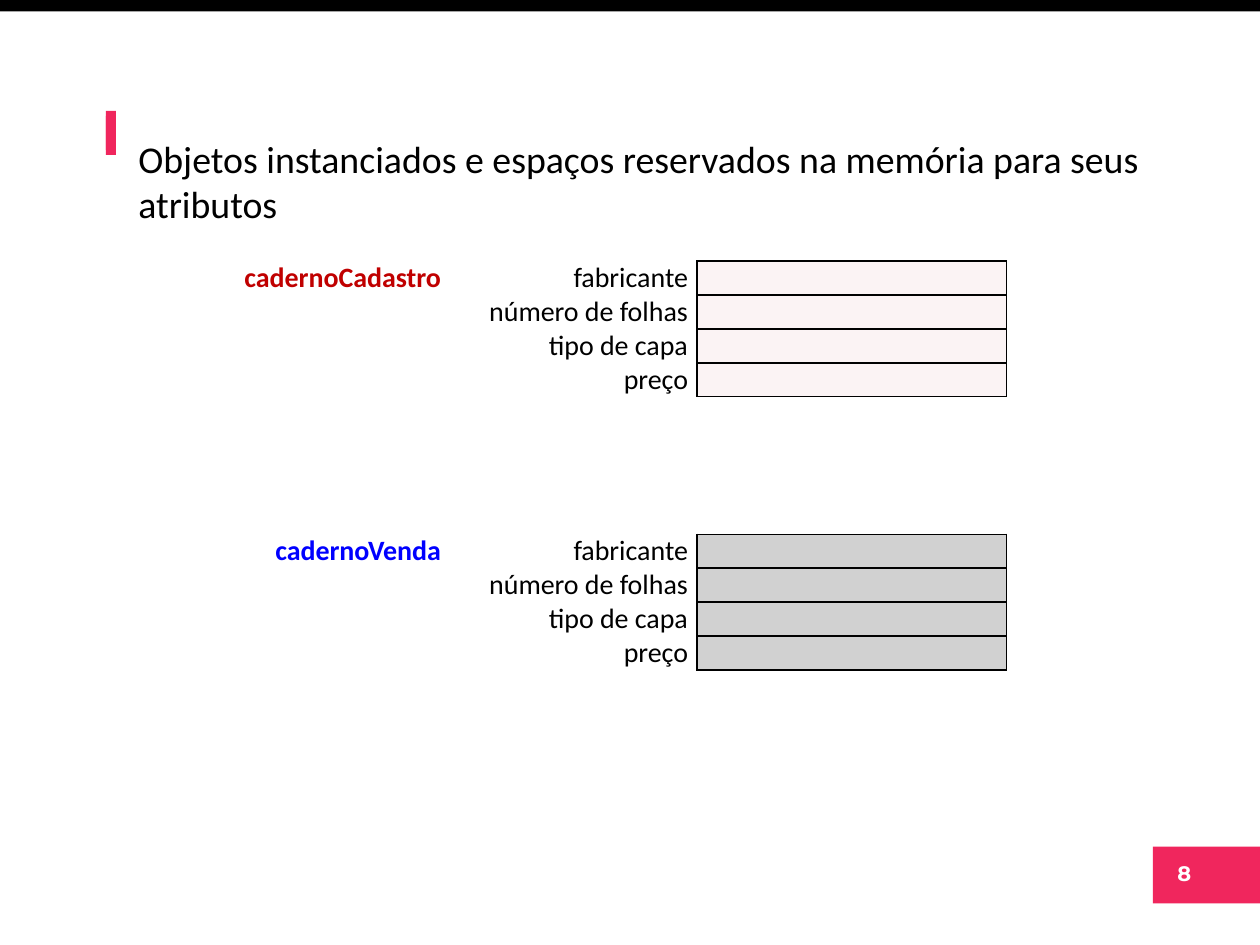
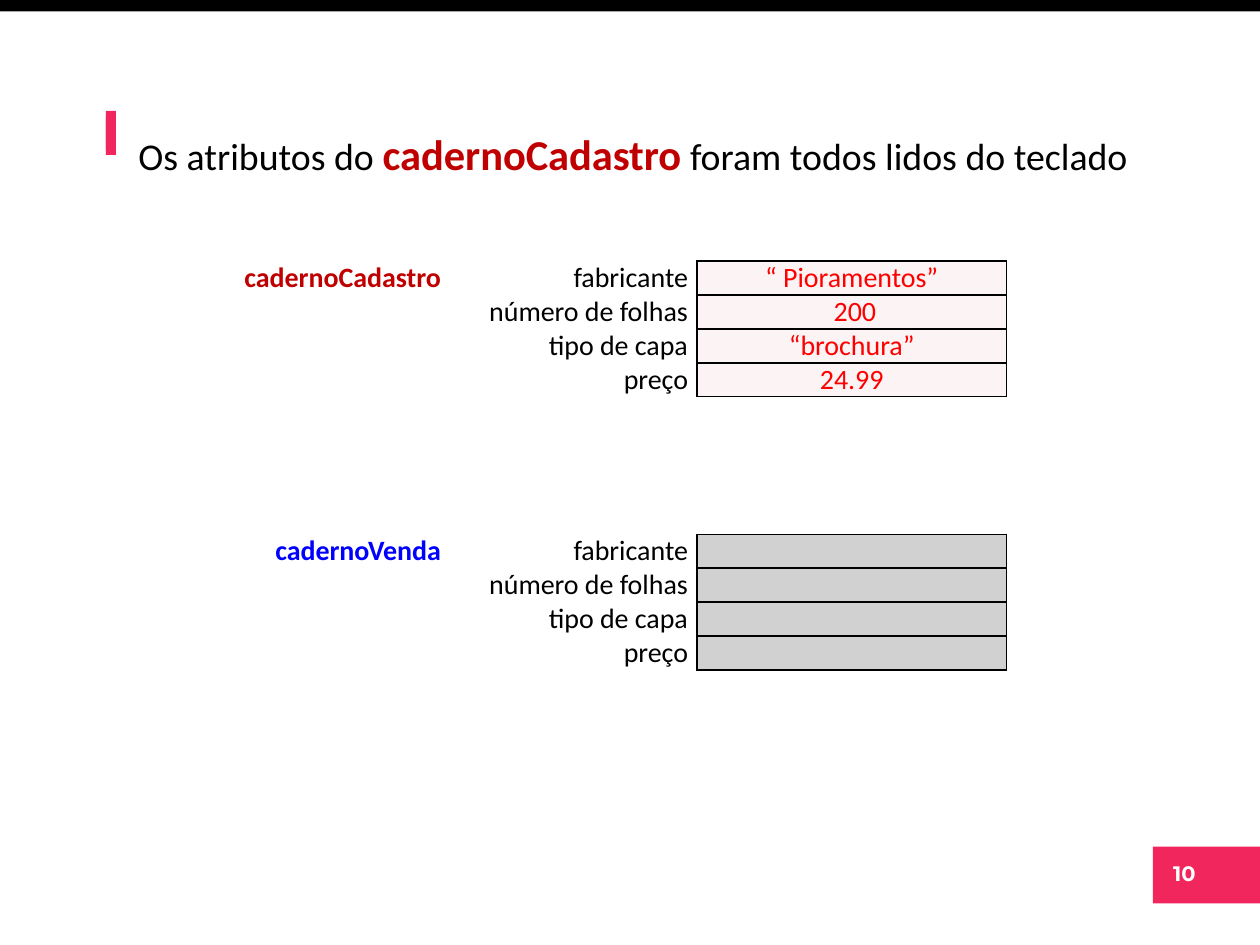
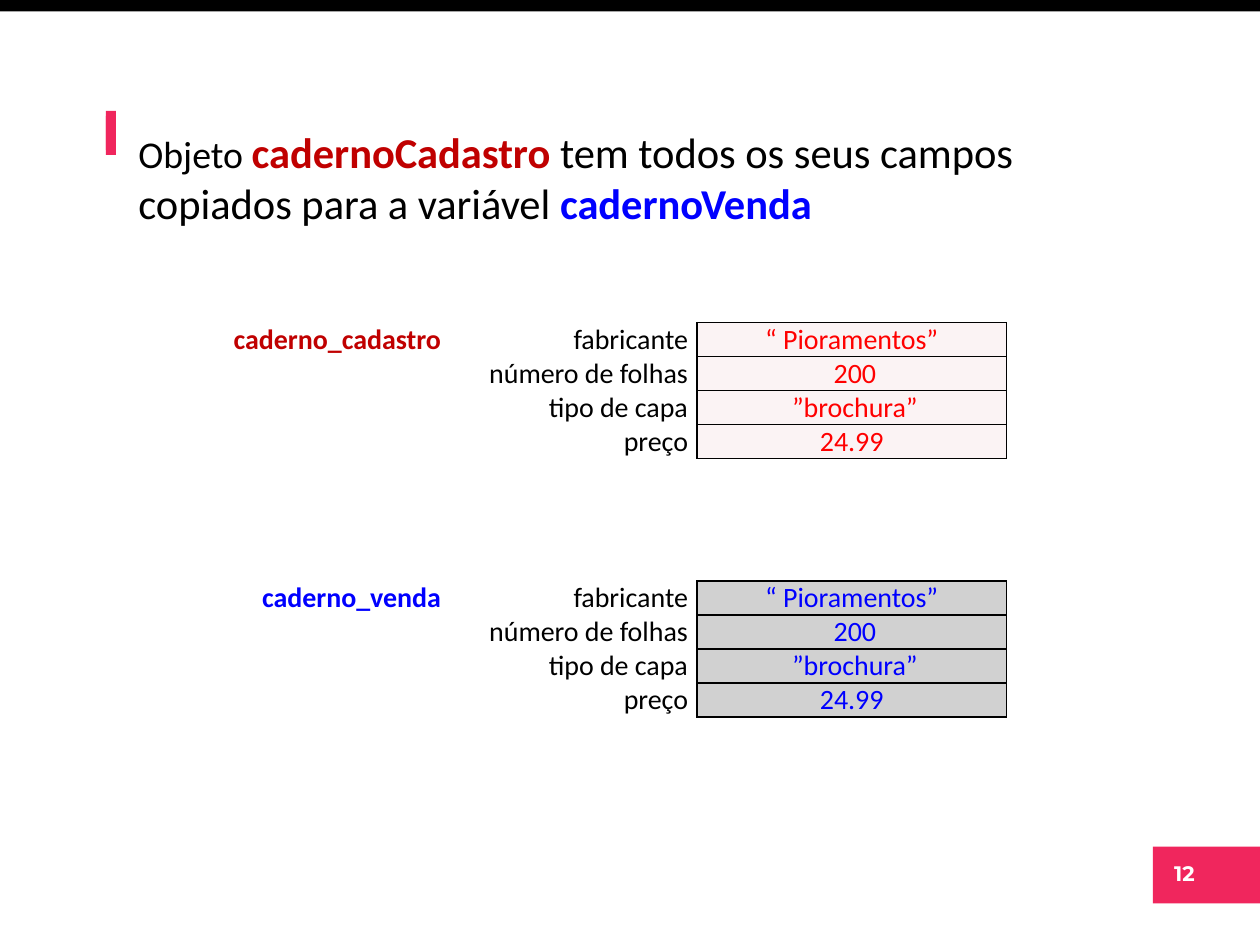
from lxml.etree import SubElement
from pptx import Presentation
from pptx.dml.color import RGBColor
from pptx.enum.shapes import MSO_SHAPE
from pptx.enum.text import MSO_ANCHOR, PP_ALIGN
from pptx.oxml.ns import qn
from pptx.util import Inches, Pt

BLACK, WHITE, PINK = "000000", "FFFFFF", "F0265D"
DARK_RED, RED, BLUE = "C00000", "FF0000", "0000FF"
ROSE, GRAY = "F9E8EA", "A6A6A6"
BODY_FONT, NUMBER_FONT = "Calibri", "Montserrat"
TITLE_SIZE, TITLE_LARGE, TABLE_SIZE = 21.6, 24.3, 16
FIELDS = ["fabricante", "número de folhas", "tipo de capa", "preço"]
EMPTY = [""] * len(FIELDS)
COLUMN_WIDTHS = [2.95, 1.96, 2.46]
ROW_HEIGHT = 0.27


def rgb(value):
    """Turn a hex string into a colour."""
    return RGBColor.from_string(value)


class Deck:
    """Holds the style and the current slide."""

    def __init__(self):
        """Start an empty 10 by 7.5 inch presentation."""
        self.presentation = Presentation()
        self.presentation.slide_width = Inches(10)
        self.presentation.slide_height = Inches(7.5)
        self.slide = None

    def new_slide(self, number, title_box, title_runs):
        """Add a slide with its band, number, accent and title."""
        self.slide = self.presentation.slides.add_slide(self.presentation.slide_layouts[6])
        self.block(0, 0, 10, 0.09, BLACK)
        self.block(9.15, 6.72, 0.86, 0.45, PINK)
        number_frame = self.text_box(9.16, 6.78, 0.48, 0.3)
        number_frame.word_wrap = False
        number_frame.paragraphs[0].alignment = PP_ALIGN.CENTER
        self.run(number_frame.paragraphs[0], str(number), 12, WHITE, True, NUMBER_FONT)
        for top in (0.92, 0.88):
            self.block(0.84, top, 0.08, 0.31, PINK)
        title_frame = self.text_box(*title_box)
        title_frame.word_wrap = True
        title_frame.vertical_anchor = MSO_ANCHOR.MIDDLE
        for text, size, color, bold in title_runs:
            self.run(title_frame.paragraphs[0], text, size, color, bold)

    def block(self, left, top, width, height, color):
        """Draw a plain filled rectangle."""
        rectangle = self.slide.shapes.add_shape(
            MSO_SHAPE.RECTANGLE, Inches(left), Inches(top), Inches(width), Inches(height))
        rectangle.shadow.inherit = False
        rectangle.fill.solid()
        rectangle.fill.fore_color.rgb = rgb(color)
        rectangle.line.fill.background()

    def text_box(self, left, top, width, height):
        """Add a text box and return its frame."""
        return self.slide.shapes.add_textbox(
            Inches(left), Inches(top), Inches(width), Inches(height)).text_frame

    def run(self, paragraph, text, size, color, bold=False, font=BODY_FONT):
        """Append one styled run to a paragraph."""
        run = paragraph.add_run()
        run.text = text
        run.font.name = font
        run.font.size = Pt(size)
        run.font.bold = bold
        run.font.color.rgb = rgb(color)

    def cell(self, cell, text, align, color=BLACK, bold=False, sides="", fill=None):
        """Style one table cell, with black borders on the given sides."""
        cell.margin_left = cell.margin_right = Inches(0.07)
        cell.margin_top = cell.margin_bottom = 0
        paragraph = cell.text_frame.paragraphs[0]
        paragraph.alignment = align
        if text:
            self.run(paragraph, text, TABLE_SIZE, color, bold)
        else:
            SubElement(paragraph._p, qn("a:endParaRPr"), sz=str(TABLE_SIZE * 100))
        properties = cell._tc.get_or_add_tcPr()
        for side in "LRTB":
            border = SubElement(properties, qn(f"a:ln{side}"), w=str(Pt(1)))
            if side in sides:
                SubElement(SubElement(border, qn("a:solidFill")), qn("a:srgbClr"), val=BLACK)
            else:
                SubElement(border, qn("a:noFill"))
        if fill:
            cell.fill.solid()
            cell.fill.fore_color.rgb = rgb(fill)
            SubElement(properties.find(f".//{qn('a:srgbClr')}[@val='{fill}']"),
                       qn("a:alpha"), val="51000")
        else:
            cell.fill.background()

    def memory(self, top, variable, name_color, fill, values=EMPTY, value_color=BLACK):
        """Draw an object's name, its fields and their memory spaces."""
        table = self.slide.shapes.add_table(
            len(FIELDS), len(COLUMN_WIDTHS), Inches(0.62), Inches(top),
            Inches(sum(COLUMN_WIDTHS)), Inches(ROW_HEIGHT * len(FIELDS))).table
        table.first_row = table.horz_banding = False
        for column, width in zip(table.columns, COLUMN_WIDTHS):
            column.width = Inches(width)
        for index, (field, value) in enumerate(zip(FIELDS, values)):
            table.rows[index].height = Inches(ROW_HEIGHT)
            name = "" if index else variable
            self.cell(table.cell(index, 0), name, PP_ALIGN.RIGHT, name_color, True)
            self.cell(table.cell(index, 1), field, PP_ALIGN.RIGHT, sides="R")
            self.cell(table.cell(index, 2), value, PP_ALIGN.CENTER, value_color,
                      sides="LRTB", fill=fill)
        table.cell(0, 0).merge(table.cell(len(FIELDS) - 1, 0))


def main():
    """Build the three slides."""
    deck = Deck()

    deck.new_slide(8, (1, 1.05, 8.35, 0.77), [
        ("Objetos instanciados e espaços reservados na memória para seus atributos",
         TITLE_SIZE, BLACK, False)])
    deck.memory(2.07, "cadernoCadastro", DARK_RED, ROSE)
    deck.memory(4.24, "cadernoVenda", BLUE, GRAY)

    deck.new_slide(10, (1, 0.83, 8.51, 0.77), [
        ("Os atributos do ", TITLE_SIZE, BLACK, False),
        ("cadernoCadastro", TITLE_LARGE, DARK_RED, True),
        (" foram todos lidos do teclado", TITLE_SIZE, BLACK, False)])
    read_values = ["“ Pioramentos”", " 200", "“brochura”", "24.99"]
    deck.memory(2.07, "cadernoCadastro", DARK_RED, ROSE, read_values, RED)
    deck.memory(4.24, "cadernoVenda", BLUE, GRAY)

    deck.new_slide(12, (1, 1.02, 7.99, 0.77), [
        ("Objeto ", TITLE_SIZE, BLACK, False),
        ("cadernoCadastro ", TITLE_LARGE, DARK_RED, True),
        ("tem todos os seus campos copiados para a variável ", TITLE_LARGE, BLACK, False),
        ("cadernoVenda", TITLE_LARGE, BLUE, True)])
    copied_values = ["“ Pioramentos”", " 200", " ”brochura”", "24.99"]
    deck.memory(2.56, "caderno_cadastro", DARK_RED, ROSE, copied_values, RED)
    deck.memory(4.61, "caderno_venda", BLUE, GRAY, copied_values, BLUE)

    deck.presentation.save("out.pptx")


if __name__ == "__main__":
    main()
